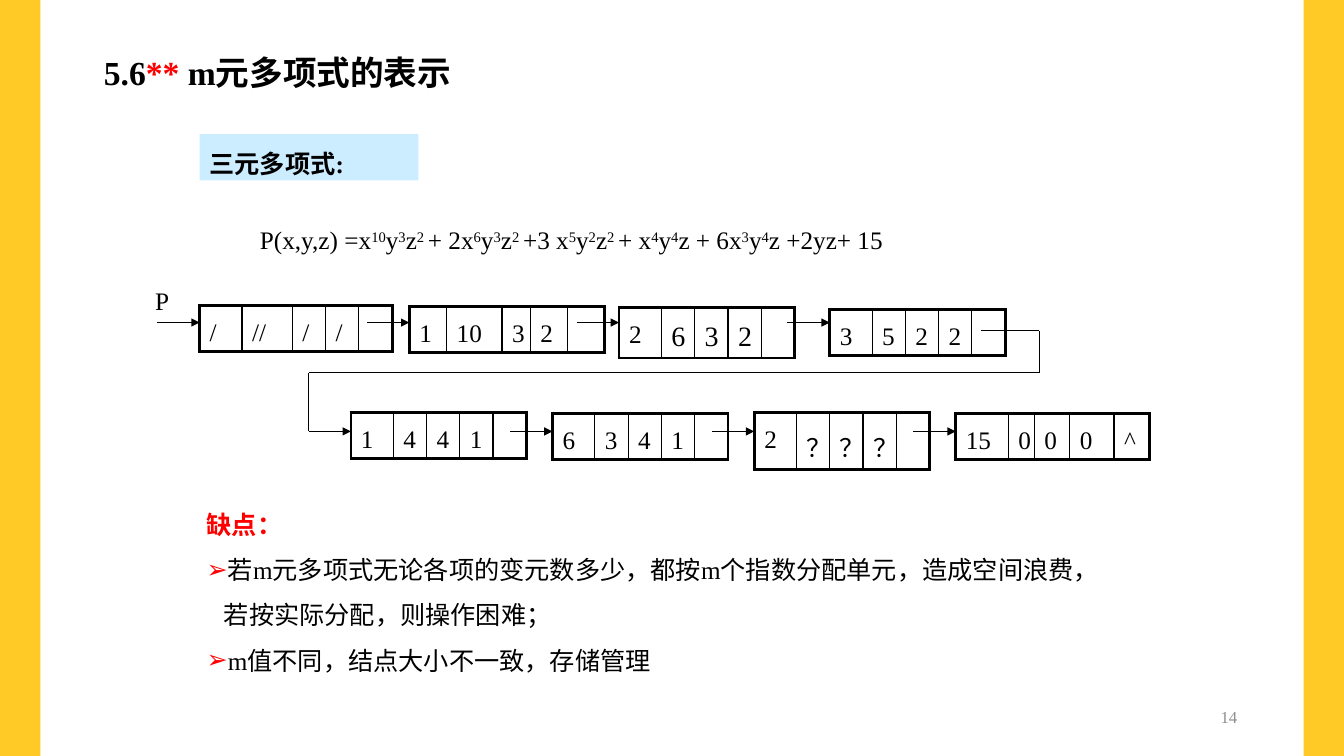
from dataclasses import dataclass

from lxml.etree import SubElement
from pptx import Presentation
from pptx.dml.color import RGBColor
from pptx.enum.shapes import MSO_CONNECTOR, MSO_SHAPE
from pptx.enum.text import MSO_ANCHOR, MSO_AUTO_SIZE, PP_ALIGN
from pptx.oxml.ns import qn
from pptx.util import Inches, Pt

FONT = "Times New Roman"
BLACK, RED, GREY = "000000", "FF0000", "8E8E8E"
YELLOW, PALE_BLUE = "FFC926", "CCECFF"
ARROW_LENGTH = 0.42
ROW_HEIGHT = 0.45


@dataclass
class Node:
    """One term of the linked list: coefficient, exponents, link field."""
    left: float
    top: float
    values: tuple[str, ...]
    widths: tuple[float, ...] = (0.42, 0.33, 0.33, 0.33, 0.33)
    exponent_size: int = 18


@dataclass
class NodeRow:
    arrow_y: float
    nodes: list[Node]


@dataclass
class ListLine:
    text: str
    color: str = BLACK
    bold: bool = False
    bullet: bool = False
    indent: float = 0


NODE_ROWS = [
    NodeRow(3.2, [
        Node(1.98, 3.03, ("/", "//", "/", "/", ""), (0.42, 0.5, 0.33, 0.33, 0.33)),
        Node(4.06, 3.04, ("1", "10", "3", "2", ""), (0.37, 0.55, 0.28, 0.37, 0.37)),
        Node(6.14, 3.05, ("2", "6", "3", "2", ""), exponent_size=20),
        Node(8.23, 3.07, ("3", "5", "2", "2", "")),
    ]),
    NodeRow(4.28, [
        Node(3.48, 4.09, ("1", "4", "4", "1", "")),
        Node(5.48, 4.1, ("6", "3", "4", "1", "")),
        Node(7.48, 4.09, ("2", "？", "？", "？", "")),
        Node(9.48, 4.1, ("15", "0", "0", "0", "^"), (0.52, 0.26, 0.35, 0.44, 0.35)),
    ]),
]
ROW_LINK = [(9.73, 3.28), (10.31, 3.28), (10.31, 3.7), (3.06, 3.7), (3.06, 4.28)]
LINK_DOT = (10.23, 3.62)

# Superscripts stand between carets.
FORMULA = ("P(x,y,z) =x^10^y^3^z^2 ^+ 2x^6^y^3^z^2 ^+3 x^5^y^2^z^2 ^"
           "+ x^4^y^4^z + 6x^3^y^4^z +2yz+ 15")

DRAWBACKS = [
    ListLine("缺点：", RED, bold=True),
    ListLine("若m元多项式无论各项的变元数多少，都按m个指数分配单元，造成空间浪费，",
             bullet=True, indent=0.2),
    ListLine("若按实际分配，则操作困难；", indent=0.17),
    ListLine("m值不同，结点大小不一致，存储管理", bullet=True, indent=0.2),
]


def rgb(color: str) -> RGBColor:
    return RGBColor.from_string(color)


def style(r, size: float = 18, color: str = BLACK, bold: bool = False) -> None:
    r.font.name = FONT
    r.font.size = Pt(size)
    r.font.bold = bold
    r.font.color.rgb = rgb(color)


def place(sp, left: float, top: float, width: float, height: float) -> None:
    sp.left, sp.top = Inches(left), Inches(top)
    sp.width, sp.height = Inches(width), Inches(height)


def prepare(tf, spacing: float = 1.3):
    """Set the frame up as top-anchored wrapped text; return its paragraph."""
    tf.word_wrap = True
    tf.auto_size = MSO_AUTO_SIZE.NONE
    tf.vertical_anchor = MSO_ANCHOR.TOP
    p = tf.paragraphs[0]
    p.alignment = PP_ALIGN.LEFT
    p.line_spacing = spacing
    return p


def add_text(slide, left: float, top: float, width: float, height: float,
             text: str, size: float = 18, color: str = BLACK):
    """Add a text box; text between carets becomes superscript."""
    tf = slide.shapes.add_textbox(
        Inches(left), Inches(top), Inches(width), Inches(height)).text_frame
    p = prepare(tf)
    for i, part in enumerate(text.split("^")):
        r = p.add_run()
        r.text = part
        style(r, size, color)
        if i % 2:
            r._r.get_or_add_rPr().set("baseline", "30000")
    return tf


def add_rect(slide, left: float, top: float, width: float, height: float, fill: str):
    sp = slide.shapes.add_shape(
        MSO_SHAPE.RECTANGLE, Inches(left), Inches(top), Inches(width), Inches(height))
    sp.shadow.inherit = False
    sp.fill.solid()
    sp.fill.fore_color.rgb = rgb(fill)
    sp.line.fill.background()
    return sp


def add_line(slide, start: tuple[float, float], end: tuple[float, float],
             arrow: bool = False) -> None:
    line = slide.shapes.add_connector(
        MSO_CONNECTOR.STRAIGHT, *(Inches(v) for v in (*start, *end)))
    line.line.color.rgb = rgb(BLACK)
    line.line.width = Pt(0.75)
    if arrow:
        SubElement(line.line._get_or_add_ln(), qn("a:tailEnd"), type="triangle")
    SubElement(line._element.spPr, qn("a:effectLst"))


def set_borders(cell, left: float, right: float) -> None:
    tc_pr = cell._tc.get_or_add_tcPr()
    for side, width in (("L", left), ("R", right), ("T", 2.25), ("B", 2.25)):
        ln = SubElement(tc_pr, qn(f"a:ln{side}"), w=str(Pt(width)))
        fill = SubElement(ln, qn("a:solidFill"))
        SubElement(fill, qn("a:srgbClr"), val=BLACK)


def add_node(slide, node: Node) -> None:
    last = len(node.values) - 1
    table = slide.shapes.add_table(
        1, last + 1, Inches(node.left), Inches(node.top),
        Inches(sum(node.widths)), Inches(ROW_HEIGHT)).table
    table.first_row = table.horz_banding = False
    for i, (value, width) in enumerate(zip(node.values, node.widths)):
        table.columns[i].width = Inches(width)
        cell = table.cell(0, i)
        set_borders(cell, 2.25 if i == 0 else 1, 2.25 if i == last else 1)
        cell.fill.background()
        if value:
            p = cell.text_frame.paragraphs[0]
            p.text = value
            p.line_spacing = 1.3
            style(p.runs[0], node.exponent_size if i else 18)


def set_bullet(p, line: ListLine) -> None:
    p_pr = p._p.get_or_add_pPr()
    p_pr.set("marL", str(Inches(line.indent)))
    p_pr.set("indent", str(-Inches(line.indent) if line.bullet else 0))
    if line.bullet:
        color = SubElement(p_pr, qn("a:buClr"))
        SubElement(color, qn("a:srgbClr"), val=RED)
        SubElement(p_pr, qn("a:buChar"), char="➢")
    else:
        SubElement(p_pr, qn("a:buNone"))


def fill_title(title) -> None:
    place(title, 0.93, 0.34, 6.67, 0.57)
    p = prepare(title.text_frame)
    for text, color in (("5.6", BLACK), ("**", RED), (" m元多项式的表示", BLACK)):
        r = p.add_run()
        r.text = text
        style(r, 24, color, bold=True)


def fill_drawbacks(body) -> None:
    place(body, 1.95, 4.85, 10.17, 2.35)
    tf = body.text_frame
    tf.text = "\n".join(line.text for line in DRAWBACKS)
    prepare(tf)
    for p, line in zip(tf.paragraphs, DRAWBACKS):
        set_bullet(p, line)
        p.line_spacing = 1.5
        p.space_before = Pt(0)
        style(p.runs[0], 18, line.color, line.bold)


def main() -> None:
    prs = Presentation()
    prs.slide_width, prs.slide_height = Inches(13.33), Inches(7.5)
    slide = prs.slides.add_slide(prs.slide_layouts[1])
    for left in (0, 12.93):
        add_rect(slide, left, 0, 0.4, 7.5, YELLOW)
    fill_title(slide.shapes.title)
    fill_drawbacks(slide.placeholders[1])

    label = add_rect(slide, 1.98, 1.33, 2.17, 0.46, PALE_BLUE)
    p = prepare(label.text_frame)
    p.text = "三元多项式:"
    style(p.runs[0], bold=True)
    add_text(slide, 2.48, 2.09, 7.25, 0.46, FORMULA)
    add_text(slide, 1.44, 2.69, 0.67, 0.46, "P")

    for row in NODE_ROWS:
        for node in row.nodes:
            add_node(slide, node)
            add_line(slide, (node.left - ARROW_LENGTH, row.arrow_y),
                     (node.left, row.arrow_y), arrow=True)
    for start, end in zip(ROW_LINK, ROW_LINK[1:]):
        add_line(slide, start, end)
    add_line(slide, LINK_DOT, LINK_DOT)

    number = add_text(slide, 9.42, 6.94, 2.95, 0.35, "14", 12, GREY)
    number.vertical_anchor = MSO_ANCHOR.MIDDLE
    number.paragraphs[0].alignment = PP_ALIGN.RIGHT
    number.paragraphs[0].line_spacing = 1.0
    prs.save("out.pptx")


if __name__ == "__main__":
    main()
